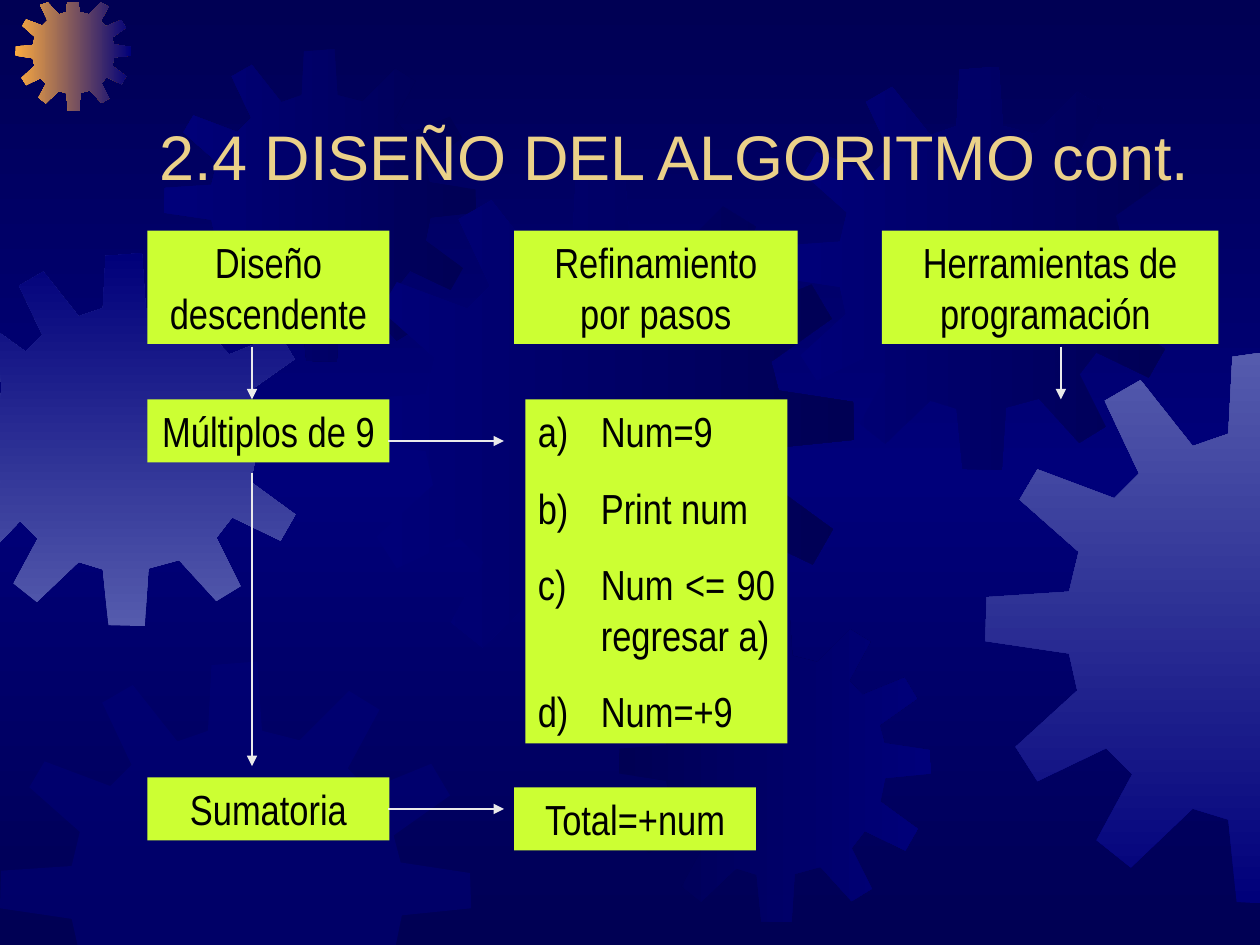
from copy import deepcopy
from typing import NamedTuple

from lxml.etree import SubElement
from pptx import Presentation
from pptx.dml.color import RGBColor
from pptx.enum.shapes import MSO_CONNECTOR, MSO_SHAPE
from pptx.enum.text import MSO_ANCHOR, MSO_AUTO_SIZE, PP_ALIGN
from pptx.oxml.ns import qn
from pptx.util import Inches, Pt

COLORS = {
    "night": "000054",
    "navy": "00007A",
    "steel": "555BAD",
    "orange": "FCAB40",
    "title": "EBD189",
    "box": "CCFF33",
    "text": "000000",
    "arrow": "EAEAEA",
}

# Outline of one gear, drawn on a square of GEAR_SIZE units
GEAR_SIZE = 4.01
GEAR_OUTLINE = [
    (2.55, 0.67), (2.23, 0.59), (2.19, 0), (1.8, 0.03), (1.77, 0.59), (1.51, 0.68),
    (1.13, 0.2), (0.87, 0.35), (1.12, 0.88), (0.94, 1.06), (0.38, 0.85), (0.25, 1.07),
    (0.68, 1.45), (0.61, 1.74), (0.01, 1.78), (0, 2.1), (0.61, 2.19), (0.67, 2.46),
    (0.22, 2.87), (0.38, 3.12), (0.88, 2.88), (1.07, 3.07), (0.81, 3.55), (1.06, 3.75),
    (1.51, 3.32), (1.77, 3.4), (1.83, 4), (2.22, 4.01), (2.26, 3.39), (2.59, 3.3),
    (2.99, 3.74), (3.25, 3.58), (2.99, 3.06), (3.16, 2.84), (3.68, 3.09), (3.84, 2.81),
    (3.36, 2.46), (3.42, 2.16), (4.01, 2.1), (4, 1.8), (3.41, 1.71), (3.35, 1.48),
    (3.83, 1.14), (3.67, 0.87), (3.13, 1.09), (2.96, 0.91), (3.23, 0.41), (2.97, 0.25),
]
# Gears stop at these edges
X_EDGES = (-0.01, 10.01)
Y_EDGES = (0.02, 7.54)


class Gear(NamedTuple):
    left: float
    top: float
    size: float
    colors: tuple[str, ...]  # two for a gradient, one for a half-transparent fill
    angle: int = 0  # counter-clockwise


class Box(NamedTuple):
    left: float
    top: float
    width: float
    height: float
    lines: tuple[str, ...]
    lettered: bool = False


class Arrow(NamedTuple):
    start: tuple[float, float]
    end: tuple[float, float]


GEARS = [
    Gear(-0.49, 2.01, 2.96, ("steel", "navy"), 90),
    Gear(0.12, -0.04, 0.92, ("orange", "navy")),
    Gear(1.3, 0.39, 2.48, ("night", "navy"), 180),
    Gear(2.77, 1.39, 4.01, ("navy", "night")),
    Gear(0, 5.25, 3.74, ("navy",)),
    Gear(4.91, 4.84, 2.48, ("night", "navy")),
    Gear(6.18, 0.53, 3.2, ("navy", "night")),
    Gear(7.82, 2.8, 4.37, ("navy", "steel"), 90),
]
BOXES = [
    Box(1.17, 1.83, 1.92, 0.9, ("Diseño descendente",)),
    Box(4.08, 1.83, 2.25, 0.9, ("Refinamiento por pasos",)),
    Box(7, 1.83, 2.67, 0.9, ("Herramientas de programación ",)),
    Box(1.17, 3.17, 1.92, 0.5, ("Múltiplos de 9",)),
    Box(1.17, 6.17, 1.92, 0.5, ("Sumatoria",)),
    Box(4.17, 3.17, 2.08, 2.73,
        ("Num=9", "Print num", "Num <= 90 regresar a)", "Num=+9"), lettered=True),
    Box(4.08, 6.25, 1.92, 0.5, ("Total=+num",)),
]
ARROWS = [
    Arrow((2, 2.75), (2, 3.17)),
    Arrow((8.42, 2.75), (8.42, 3.17)),
    Arrow((2, 3.75), (2, 6.08)),
    Arrow((3.08, 3.5), (4, 3.5)),
    Arrow((3.08, 6.42), (4, 6.42)),
]


def rgb(name: str) -> RGBColor:
    return RGBColor.from_string(COLORS[name])


def set_gradient(fill, names: tuple[str, ...], angle: int) -> None:
    fill.gradient()
    fill.gradient_angle = angle
    for stop, name in zip(fill.gradient_stops, names):
        stop.color.rgb = rgb(name)


def paint_background(page) -> None:
    set_gradient(page.background.fill, ("night", "navy"), 270)
    stops = page.element.find(".//" + qn("a:gsLst"))
    stops[1].set("pos", "50000")
    last = deepcopy(stops[0])
    last.set("pos", "100000")
    stops.append(last)


def clamp(value: float, edges: tuple[float, float]) -> float:
    return min(max(value, edges[0]), edges[1])


def draw_gear(page, gear: Gear) -> None:
    scale = gear.size / GEAR_SIZE
    points = [
        (Inches(clamp(gear.left + x * scale, X_EDGES)),
         Inches(clamp(gear.top + y * scale, Y_EDGES)))
        for x, y in GEAR_OUTLINE
    ]
    builder = page.shapes.build_freeform(*points[0])
    builder.add_line_segments(points[1:], close=True)
    shape = builder.convert_to_shape()
    shape.shadow.inherit = False
    shape.line.fill.background()
    if len(gear.colors) == 2:
        set_gradient(shape.fill, gear.colors, gear.angle)
    else:
        shape.fill.solid()
        shape.fill.fore_color.rgb = rgb(gear.colors[0])
        color = shape.element.spPr.find(".//" + qn("a:srgbClr"))
        SubElement(color, qn("a:alpha"), val="50000")


def add_letter(para) -> None:
    properties = para._p.get_or_add_pPr()
    properties.set("marL", str(Inches(0.5)))
    properties.set("indent", str(Inches(-0.5)))
    color = SubElement(properties, qn("a:buClr"))
    SubElement(color, qn("a:srgbClr"), val=COLORS["text"])
    SubElement(properties, qn("a:buFontTx"))
    SubElement(properties, qn("a:buAutoNum"), type="alphaLcParenR")


def set_font(para, name: str, size: int, color: str) -> None:
    para.font.name = name
    para.font.size = Pt(size)
    para.font.color.rgb = rgb(color)


def draw_box(page, box: Box) -> None:
    shape = page.shapes.add_shape(
        MSO_SHAPE.RECTANGLE, *(Inches(length) for length in box[:4]))
    shape.shadow.inherit = False
    shape.fill.solid()
    shape.fill.fore_color.rgb = rgb("box")
    shape.line.fill.background()
    frame = shape.text_frame
    frame.word_wrap = True
    frame.auto_size = MSO_AUTO_SIZE.SHAPE_TO_FIT_TEXT
    frame.vertical_anchor = MSO_ANCHOR.TOP
    frame.text = "\n".join(box.lines)
    for para in frame.paragraphs:
        para.alignment = PP_ALIGN.JUSTIFY if box.lettered else PP_ALIGN.CENTER
        para.space_before = Pt(15)
        if box.lettered:
            add_letter(para)
        set_font(para, "Arial Narrow", 24, "text")


def draw_arrow(page, arrow: Arrow) -> None:
    connector = page.shapes.add_connector(
        MSO_CONNECTOR.STRAIGHT, *(Inches(length) for length in arrow.start + arrow.end))
    connector.line.color.rgb = rgb("arrow")
    connector.line.width = Pt(0.75)
    SubElement(connector.line._get_or_add_ln(), qn("a:tailEnd"), type="triangle")
    SubElement(connector.element.spPr, qn("a:effectLst"))


def draw_title(page, text: str) -> None:
    title = page.shapes.add_textbox(Inches(1.17), Inches(0.33), Inches(8.5), Inches(1.25))
    frame = title.text_frame
    frame.word_wrap = True
    frame.vertical_anchor = MSO_ANCHOR.BOTTOM
    frame.text = text
    set_font(frame.paragraphs[0], "Arial", 36, "title")


def main() -> None:
    deck = Presentation()
    deck.slide_width, deck.slide_height = Inches(10), Inches(7.5)
    page = deck.slides.add_slide(deck.slide_layouts[6])

    # Backdrop
    paint_background(page)
    for gear in GEARS:
        draw_gear(page, gear)

    # Title and diagram
    draw_title(page, "2.4 DISEÑO DEL ALGORITMO cont.")
    for box in BOXES:
        draw_box(page, box)
    for arrow in ARROWS:
        draw_arrow(page, arrow)

    deck.save("out.pptx")


if __name__ == "__main__":
    main()
